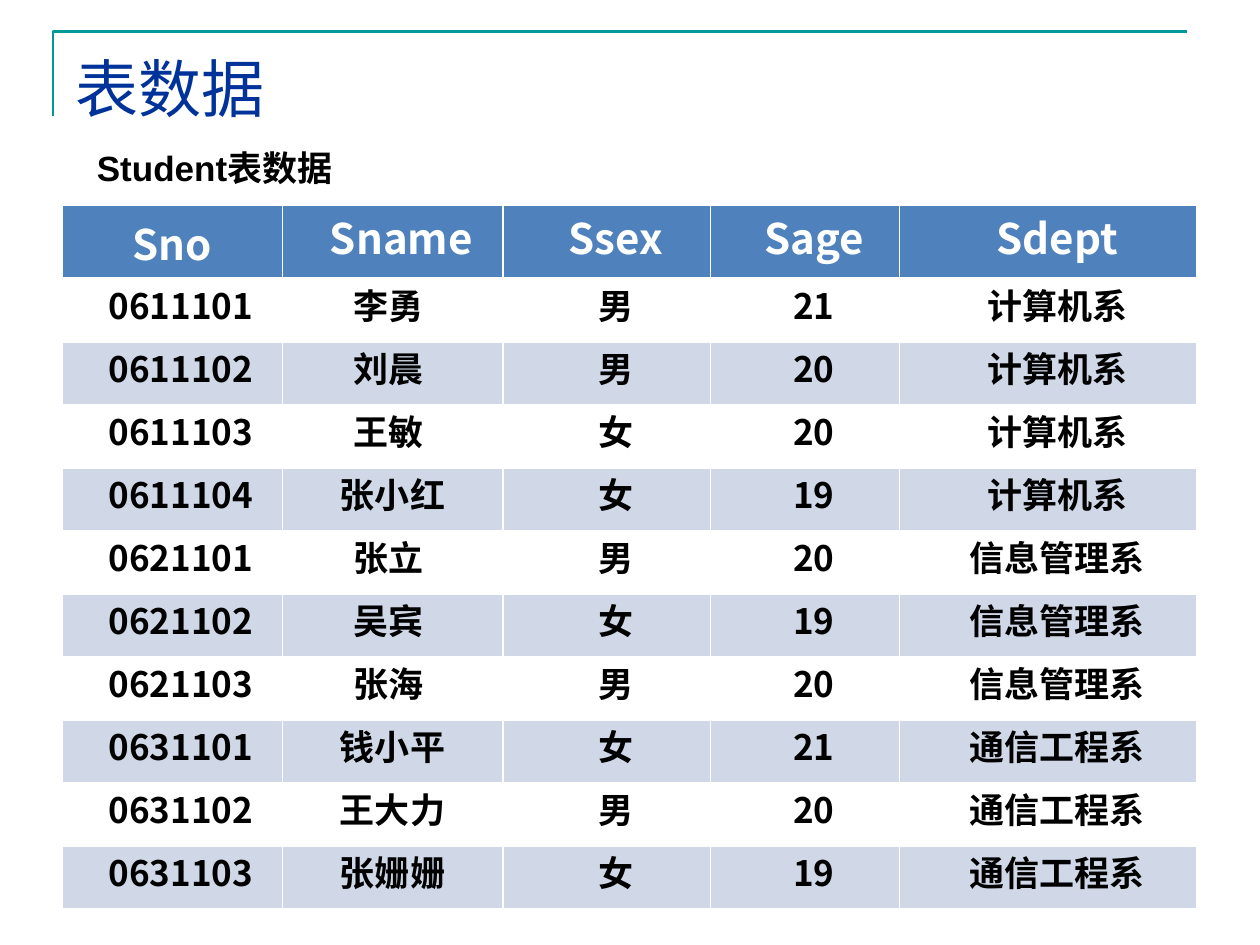
from lxml.etree import SubElement
from pptx import Presentation
from pptx.dml.color import RGBColor
from pptx.enum.text import MSO_ANCHOR, PP_ALIGN
from pptx.oxml import parse_xml
from pptx.oxml.ns import nsdecls, qn
from pptx.util import Emu, Inches, Pt

C = {
    "teal": "009999",
    "title": "003399",
    "black": "000000",
    "white": "FFFFFF",
    "header": "4F81BD",
    "band": "D0D8E8",
}
CJK = "Noto Sans CJK SC"
SERIF = "Times New Roman"
COL_FONTS = [CJK, SERIF, SERIF, CJK, SERIF]
COL_WIDTHS = [1.75, 1.75, 1.65, 1.5, 2.36]
ROW_HEIGHT = 0.5
NAME_COL = 1

HEADER = ["Sno", "Sname", "Ssex", "Sage", "Sdept"]
STUDENTS = [
    ["0611101", "李勇", "男", "21", "计算机系"],
    ["0611102", "刘晨", "男", "20", "计算机系"],
    ["0611103", "王敏", "女", "20", "计算机系"],
    ["0611104", "张小红", "女", "19", "计算机系"],
    ["0621101", "张立", "男", "20", "信息管理系"],
    ["0621102", "吴宾", "女", "19", "信息管理系"],
    ["0621103", "张海", "男", "20", "信息管理系"],
    ["0631101", "钱小平", "女", "21", "通信工程系"],
    ["0631102", "王大力", "男", "20", "通信工程系"],
    ["0631103", "张姗姗", "女", "19", "通信工程系"],
]


def rgb(name):
    return RGBColor.from_string(C[name])


def add_run(p, text, size, font, color, bold=False):
    r = p.add_run()
    r.text = text
    r.font.size = Pt(size)
    r.font.name = font
    r.font.bold = bold
    r.font.color.rgb = rgb(color)
    SubElement(r.font._element, qn("a:ea"), typeface=CJK)


def style_line(sp):
    sp.line.color.rgb = rgb("teal")
    sp.line.width = Pt(1.5)


def add_frame(s):
    # Corner line around the title
    fb = s.shapes.build_freeform(Inches(0.42), Inches(0.92))
    fb.add_line_segments(
        [(Inches(0.42), Inches(0.25)), (Inches(9.42), Inches(0.25))], close=False)
    corner = fb.convert_to_shape()
    corner.shadow.inherit = False
    corner.fill.background()
    style_line(corner)

    # Footer line
    footer = s.shapes.add_connector(1, Inches(0.5), Inches(7), Inches(9.5), Inches(7))
    SubElement(footer._element.spPr, qn("a:effectLst"))
    style_line(footer)
    footer._element.spPr.append(footer._element.spPr.find(qn("a:effectLst")))


def add_title(s, text):
    sp = s.shapes.title
    sp.left, sp.top = Inches(0.5), Inches(0.3)
    sp.width, sp.height = Inches(9), Inches(0.78)
    tf = sp.text_frame
    tf.vertical_anchor = MSO_ANCHOR.MIDDLE
    p = tf.paragraphs[0]
    p.alignment = PP_ALIGN.LEFT
    add_run(p, text, 36, "Calibri", "title")


def add_caption(s, text):
    sp = s.shapes.add_textbox(Inches(0.67), Inches(1.11), Inches(4.18), Inches(0.44))
    sp.text_frame.word_wrap = True
    add_run(sp.text_frame.paragraphs[0], text, 20, "Arial", "black", True)


def set_borders(cell, top, bottom):
    tcPr = cell._tc.get_or_add_tcPr()
    widths = {"L": 1, "R": 1, "T": top, "B": bottom}
    for i, (side, width) in enumerate(widths.items()):
        tcPr.insert(i, parse_xml(
            f'<a:ln{side} {nsdecls("a")} w="{Pt(width)}"><a:solidFill>'
            f'<a:srgbClr val="{C["white"]}"/></a:solidFill></a:ln{side}>'))


def fill_cell(cell, text, row, col):
    is_header = row == 0
    fill = "header" if is_header else "white" if row % 2 else "band"
    cell.fill.solid()
    cell.fill.fore_color.rgb = rgb(fill)
    set_borders(cell, 3 if row == 1 else 1, 3 if is_header else 1)
    cell.vertical_anchor = MSO_ANCHOR.TOP
    p = cell.text_frame.paragraphs[0]
    p.alignment = PP_ALIGN.CENTER
    pPr = p._p.get_or_add_pPr()

    if is_header and col == 0:
        side, edge = Inches(0.16), Inches(0.05)
        before = SubElement(pPr, qn("a:spcBef"))
        SubElement(before, qn("a:spcPct"), val="20000")
    else:
        side, edge = Inches(0.08), 0
        pPr.set("indent", str(Inches(0.14)))
    cell.margin_left = cell.margin_right = side
    cell.margin_top = cell.margin_bottom = edge
    # Names sit left of centre, shorter ones a little more
    if col == NAME_COL and not is_header:
        cell.margin_right = side + Inches(0.07 * (5 - len(text)))

    if is_header:
        add_run(p, text, 24, CJK, "white", True)
    else:
        add_run(p, text, 20, COL_FONTS[col], "black", True)


def add_student_table(s):
    rows = [HEADER] + STUDENTS
    table = s.shapes.add_table(
        len(rows), len(HEADER), Inches(0.49), Inches(1.63),
        Inches(sum(COL_WIDTHS)), Inches(ROW_HEIGHT * len(rows))).table
    for column, width in zip(table.columns, COL_WIDTHS):
        column.width = Inches(width)
    for i, values in enumerate(rows):
        table.rows[i].height = Emu(Inches(ROW_HEIGHT))
        for j, text in enumerate(values):
            fill_cell(table.cell(i, j), text, i, j)


def main():
    prs = Presentation()
    prs.slide_width, prs.slide_height = Inches(10), Inches(7.5)
    s = prs.slides.add_slide(prs.slide_layouts[5])
    add_frame(s)
    add_title(s, "表数据")
    add_student_table(s)
    add_caption(s, "Student表数据")
    prs.save("out.pptx")


if __name__ == "__main__":
    main()
